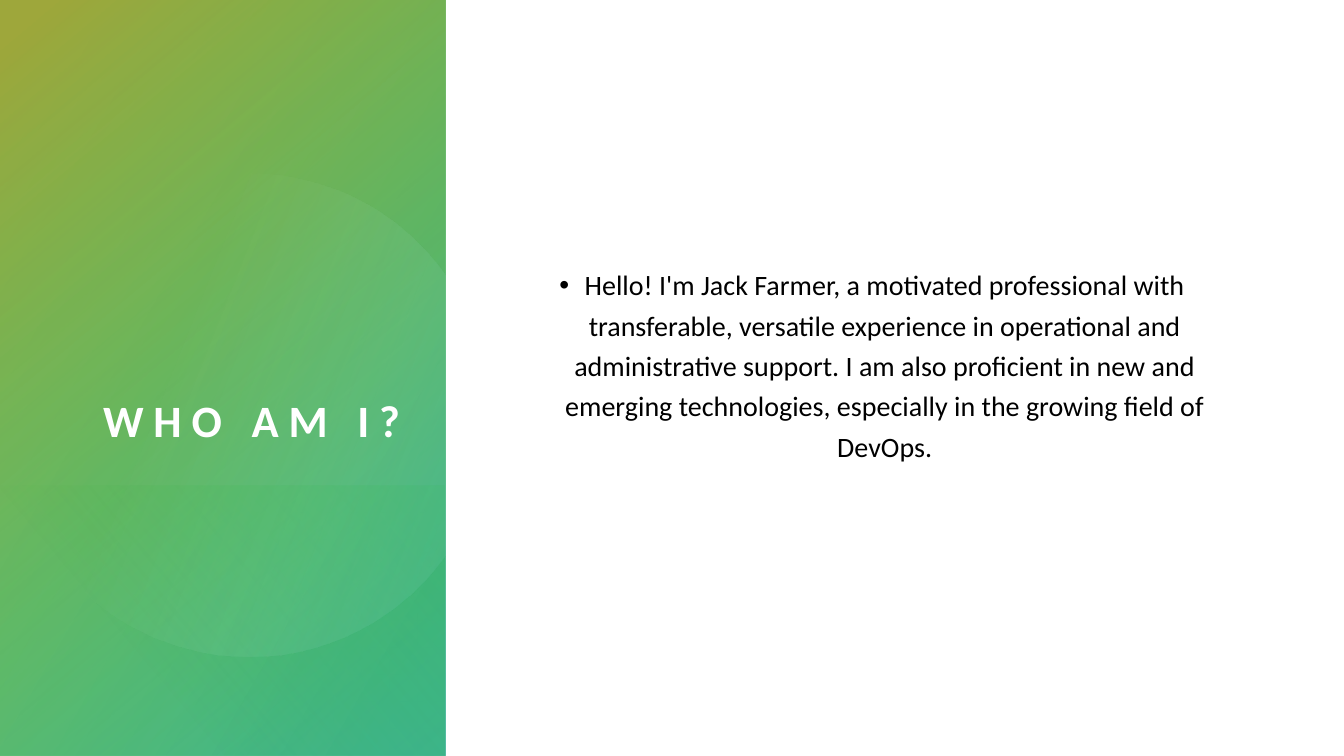
import math
from dataclasses import dataclass

import lxml.etree
import pptx
import pptx.dml.color
import pptx.enum.shapes
import pptx.enum.text
import pptx.oxml.ns
import pptx.util

SLIDE_WIDTH = pptx.util.Inches(13.33)
SLIDE_HEIGHT = pptx.util.Inches(7.5)
FONT = "Calibri"
CURVE_STEPS = 16
DISC_ROTATION = 101.6
DISC_CENTRE = (17.74, 54.6)

# Points are percentages of the slide; three points make a curve, one a line.
DISC_START = (18.53, 22.93)
DISC_SEGMENTS = [
    [(19.65, 22.93), (20.93, 23.07), (22.13, 23.6)],
    [(26.4, 25.07), (29.93, 29.2), (32.48, 34.8)],
    [(33.16, 36.4)],
    [(33.16, 73.33)],
    [(32.25, 75.47)],
    [(28.13, 84.13), (21.53, 88.67), (14.85, 86.13)],
    [(5.1, 82.53), (-1.13, 65.73), (0.9, 48.4)],
    [(2.63, 33.33), (10.13, 22.8), DISC_START],
]


@dataclass(frozen=True)
class Area:
    """Percentages of the slide's width and height."""
    left: float
    top: float
    width: float
    height: float

    def frame(self) -> tuple[int, int, int, int]:
        return (across(self.left), down(self.top), across(self.width), down(self.height))


@dataclass(frozen=True)
class Stop:
    position: float
    colour: str
    opacity: int = 100


@dataclass(frozen=True)
class Gradient:
    start: Stop
    end: Stop
    clockwise_angle: float


@dataclass(frozen=True)
class Panel:
    area: Area
    gradient: Gradient


SIDE = Area(0, 0, 33.16, 100)
SIDE_FOOT = Area(0.08, 64.27, 33.01, 35.73)
TITLE_AREA = Area(3.15, 15.07, 26.63, 44)
BODY_AREA = Area(39.16, 34.53, 51.46, 51.07)

PANELS = [
    Panel(SIDE, Gradient(Stop(0.08, "3EB497"), Stop(1, "39B763", 72), 60)),
    Panel(SIDE, Gradient(Stop(0, "42B938", 0), Stop(0.96, "9EA73B"), 40)),
    Panel(SIDE_FOOT, Gradient(Stop(0.02, "39B763", 35), Stop(0.67, "42B938", 0), 130)),
]
DISC_GRADIENT = Gradient(Stop(0.39, "D8F2D6", 0), Stop(1, "3EB497", 29), 280)


def across(percent: float) -> int:
    return round(SLIDE_WIDTH * percent / 100)


def down(percent: float) -> int:
    return round(SLIDE_HEIGHT * percent / 100)


def colour(value: str) -> pptx.dml.color.RGBColor:
    return pptx.dml.color.RGBColor.from_string(value)


def fill_with_gradient(shape, gradient: Gradient) -> None:
    shape.shadow.inherit = False
    shape.line.fill.background()
    shape.fill.gradient()
    shape.fill.gradient_angle = 360 - gradient.clockwise_angle
    stops = (gradient.start, gradient.end)
    for gradient_stop, stop in zip(shape.fill.gradient_stops, stops):
        gradient_stop.position = stop.position
        gradient_stop.color.rgb = colour(stop.colour)
    stop_list = shape.element.spPr.find(".//" + pptx.oxml.ns.qn("a:gsLst"))
    for element, stop in zip(stop_list.iter(pptx.oxml.ns.qn("a:srgbClr")), stops):
        if stop.opacity < 100:
            alpha = lxml.etree.SubElement(element, pptx.oxml.ns.qn("a:alpha"))
            alpha.set("val", str(stop.opacity * 1000))


def add_panel(slide, panel: Panel) -> None:
    """Add a mirrored rectangle that fills its area after a quarter turn."""
    left, top, width, height = panel.area.frame()
    shift = (width - height) // 2
    shape = slide.shapes.add_shape(
        pptx.enum.shapes.MSO_SHAPE.RECTANGLE, left + shift, top - shift, height, width)
    shape.rotation = 90
    shape.element.spPr.xfrm.set("flipH", "1")
    fill_with_gradient(shape, panel.gradient)


def turned_back(point: tuple[float, float]) -> tuple[int, int]:
    """Undo the disc's rotation for one point and give it in EMU."""
    centre_x, centre_y = across(DISC_CENTRE[0]), down(DISC_CENTRE[1])
    x, y = across(point[0]) - centre_x, down(point[1]) - centre_y
    angle = math.radians(-DISC_ROTATION)
    return (round(centre_x + x * math.cos(angle) - y * math.sin(angle)),
            round(centre_y + x * math.sin(angle) + y * math.cos(angle)))


def curve_points(controls: list[tuple[float, float]]) -> list[tuple[float, float]]:
    """Sample a Bézier curve, leaving out its first point."""
    degree = len(controls) - 1
    points = []
    for step in range(1, CURVE_STEPS + 1):
        t = step / CURVE_STEPS
        weights = [math.comb(degree, i) * t ** i * (1 - t) ** (degree - i)
                   for i in range(degree + 1)]
        points.append((sum(w * c[0] for w, c in zip(weights, controls)),
                       sum(w * c[1] for w, c in zip(weights, controls))))
    return points


def add_disc(slide) -> None:
    outline = [DISC_START]
    for segment in DISC_SEGMENTS:
        outline += curve_points([outline[-1], *segment]) if len(segment) > 1 else segment
    start, *rest = [turned_back(point) for point in outline]
    builder = slide.shapes.build_freeform(*start)
    builder.add_line_segments(rest, close=True)
    shape = builder.convert_to_shape()
    shape.rotation = DISC_ROTATION
    fill_with_gradient(shape, DISC_GRADIENT)


def write_placeholder(slide, placeholder, area: Area, anchor, alignment, text: str,
                      size: int, text_colour: str, bold: bool):
    """Place and fill a placeholder, bring it to the front, return its paragraph."""
    placeholder.left, placeholder.top, placeholder.width, placeholder.height = area.frame()
    slide.shapes.element.append(placeholder.element)
    frame = placeholder.text_frame
    frame.margin_left = frame.margin_top = frame.margin_right = frame.margin_bottom = 0
    frame.word_wrap = True
    frame.auto_size = pptx.enum.text.MSO_AUTO_SIZE.NONE
    frame.vertical_anchor = anchor
    paragraph = frame.paragraphs[0]
    paragraph.alignment = alignment
    run = paragraph.add_run()
    run.text = text
    run.font.name = FONT
    run.font.size = pptx.util.Pt(size)
    run.font.bold = bold
    run.font.color.rgb = colour(text_colour)
    return paragraph


def main() -> None:
    presentation = pptx.Presentation()
    presentation.slide_width = SLIDE_WIDTH
    presentation.slide_height = SLIDE_HEIGHT
    slide = presentation.slides.add_slide(presentation.slide_layouts[1])
    slide.background.fill.solid()
    slide.background.fill.fore_color.rgb = colour("FFFFFF")

    for panel in PANELS:
        add_panel(slide, panel)
    add_disc(slide)

    anchors, alignments = pptx.enum.text.MSO_ANCHOR, pptx.enum.text.PP_ALIGN
    title = write_placeholder(slide, slide.shapes.title, TITLE_AREA, anchors.BOTTOM,
                              alignments.RIGHT, "WHO AM I?", 32, "FFFFFF", True)
    title.runs[0].font._element.set("spc", "700")

    body = write_placeholder(
        slide, slide.placeholders[1], BODY_AREA, anchors.TOP, alignments.CENTER,
        "Hello! I'm Jack Farmer, a motivated professional with transferable, versatile "
        "experience in operational and administrative support. I am also proficient in new "
        "and emerging technologies, especially in the growing field of DevOps.",
        20, "000000", False)
    body.line_spacing = 1.2
    body.space_before = pptx.util.Pt(10)
    properties = body._p.get_or_add_pPr()
    properties.set("marL", str(pptx.util.Inches(0.25)))
    properties.set("indent", str(-pptx.util.Inches(0.25)))
    bullet = lxml.etree.SubElement(properties, pptx.oxml.ns.qn("a:buChar"))
    bullet.set("char", "•")
    presentation.save("out.pptx")


if __name__ == "__main__":
    main()
